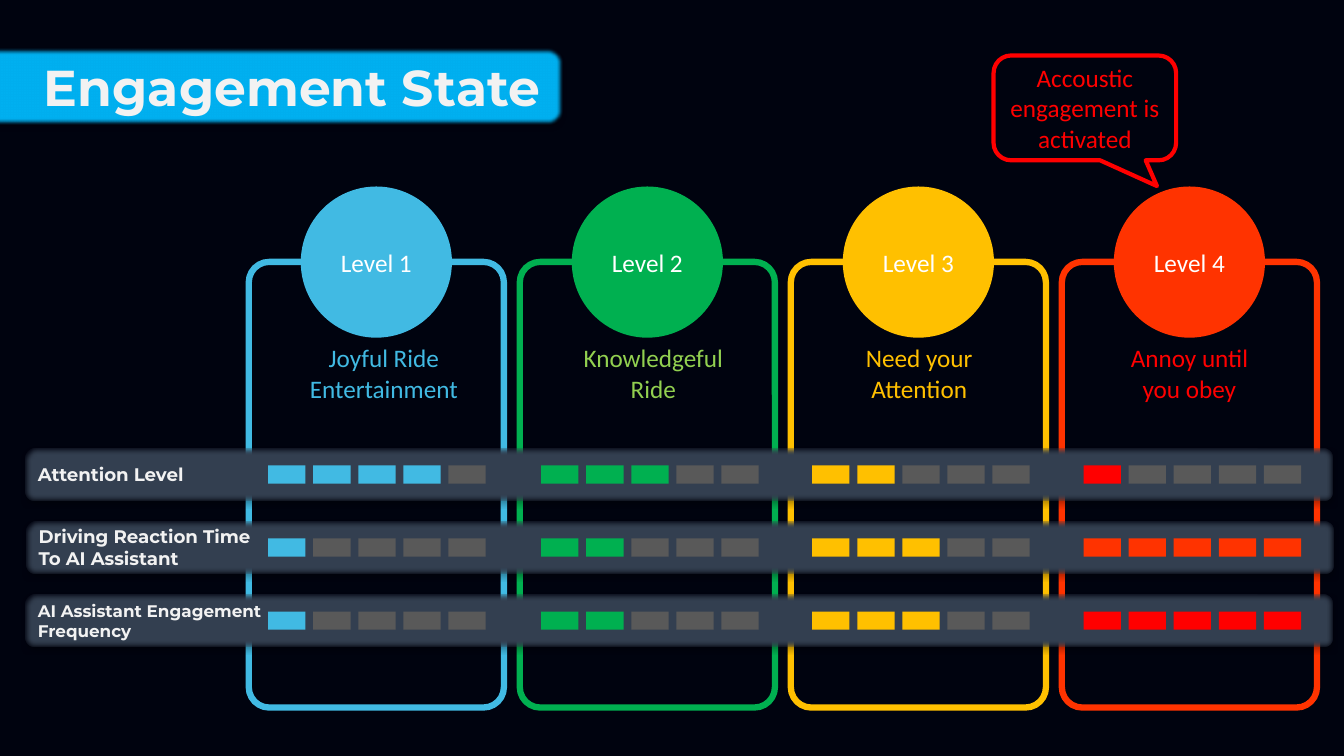
import pptx
import pptx.util
import pptx.dml.color
import pptx.enum.shapes
import pptx.enum.text
import pptx.oxml
import pptx.oxml.ns

Cm = pptx.util.Cm
Pt = pptx.util.Pt
SHAPE = pptx.enum.shapes.MSO_SHAPE
ALIGN = pptx.enum.text.PP_ALIGN
ANCHOR = pptx.enum.text.MSO_ANCHOR

NIGHT, SLATE, GREY, PALE, RED = "00030F", "333F50", "595959", "F2F2F2", "FF0000"

# name, colour, caption, caption colour, caption left, gauge left
LEVELS = [
    ("Level 1", "41BAE3", "Joyful Ride\nEntertainment", "41BAE3", 7.54, 6.76),
    ("Level 2", "00B050", "Knowledgeful Ride", "92D050", 14.33, 13.64),
    ("Level 3", "FFC000", "Need your Attention", "FFC000", 21.03, 20.47),
    ("Level 4", "FF3300", "Annoy until you obey", RED, 27.84, 27.31),
]
# label, text size, bar left, lit cells per level, colour of level 4 cells
MEASURES = [
    ("Attention Level", 13, 0.64, (4, 3, 2, 1), RED),
    ("Driving Reaction Time\nTo AI Assistant", 13, 0.66, (1, 2, 3, 5), "FF3300"),
    ("AI Assistant Engagement\nFrequency", 12, 0.64, (1, 2, 3, 5), RED),
]
CELLS = 5


def rgb(value):
    return pptx.dml.color.RGBColor.from_string(value)


def write(frame, text, size=18, color="FFFFFF", font="Calibri", bold=False,
          align=ALIGN.CENTER, anchor=ANCHOR.MIDDLE):
    frame.word_wrap = True
    frame.vertical_anchor = anchor
    frame.text = text
    for paragraph in frame.paragraphs:
        paragraph.alignment = align
        for run in paragraph.runs:
            run.font.name = font
            run.font.size = Pt(size)
            run.font.bold = bold
            run.font.color.rgb = rgb(color)


def add_form(shapes, kind, left, top, width, height, fill=None, line=None,
             weight=1, adjust=()):
    form = shapes.add_shape(kind, Cm(left), Cm(top), Cm(width), Cm(height))
    form.shadow.inherit = False
    if fill:
        form.fill.solid()
        form.fill.fore_color.rgb = rgb(fill)
    else:
        form.fill.background()
    if line:
        form.line.color.rgb = rgb(line)
        form.line.width = Pt(weight)
    else:
        form.line.fill.background()
    for index, value in enumerate(adjust):
        form.adjustments[index] = value
    return form


def add_soft_bar(shapes, left, top, width, height, fill, text, size):
    bar = add_form(shapes, SHAPE.ROUNDED_RECTANGLE, left, top, width, height,
                   fill, adjust=[0.167])
    write(bar.text_frame, text, size, PALE, "Montserrat", True, ALIGN.LEFT)
    # Drop shadow and soft edge
    effects = bar._element.spPr.find(pptx.oxml.ns.qn("a:effectLst"))
    namespace = pptx.oxml.ns.nsdecls("a")
    effects.append(pptx.oxml.parse_xml(
        f'<a:outerShdw {namespace} blurRad="{Pt(3.5)}" dist="{Pt(2.2)}" '
        'dir="5400000" rotWithShape="0"><a:srgbClr val="000000">'
        '<a:alpha val="32000"/></a:srgbClr></a:outerShdw>'))
    effects.append(pptx.oxml.parse_xml(
        f'<a:softEdge {namespace} rad="{Pt(2.5)}"/>'))
    return bar


def add_card(slide, left, name, color):
    card = slide.shapes.add_group_shape().shapes
    add_form(card, SHAPE.ROUNDED_RECTANGLE, left, 6.6, 6.43, 11.23,
             line=color, weight=4.5, adjust=[0.08])
    badge = add_form(card, SHAPE.OVAL, left + 1.31, 4.7, 3.81, 3.81, color)
    write(badge.text_frame, name)


def add_caption(slide, left, text, color):
    caption = slide.shapes.add_textbox(Cm(left), Cm(8.51), Cm(4.27), Cm(1.8))
    write(caption.text_frame, text, color=color, anchor=ANCHOR.TOP)
    caption.text_frame.auto_size = pptx.enum.text.MSO_AUTO_SIZE.SHAPE_TO_FIT_TEXT


def add_gauge(slide, left, top, lit, color):
    gauge = slide.shapes.add_group_shape().shapes
    for cell in range(CELLS):
        add_form(gauge, SHAPE.RECTANGLE, left + 1.135 * cell, top, 0.94, 0.46,
                 color if cell < lit else GREY)


def main():
    deck = pptx.Presentation()
    deck.slide_width, deck.slide_height = Cm(33.87), Cm(19.05)
    slide = deck.slides.add_slide(deck.slide_layouts[6])
    slide.background.fill.solid()
    slide.background.fill.fore_color.rgb = rgb(NIGHT)

    # Title
    title = add_soft_bar(slide.shapes, -0.51, 1.22, 14.68, 1.93, "00B0F0",
                         "Engagement State", 36)
    heading = title.text_frame.paragraphs[0]
    heading.level = 1
    heading._p.get_or_add_pPr().set("marL", str(Cm(1.27)))
    heading._p.get_or_add_pPr().set("indent", "0")

    # Level cards
    for column, (name, color, caption, caption_color, caption_left, _) in enumerate(LEVELS):
        add_card(slide, 6.27 + 6.83 * column, name, color)
        add_caption(slide, caption_left, caption, caption_color)

    # Measure bars with a gauge for each level
    for row, (label, size, left, scores, last_color) in enumerate(MEASURES):
        top = 11.3 + 1.84 * row
        add_soft_bar(slide.shapes, left, top, 32.94, 1.32, SLATE, label, size)
        colors = [level[1] for level in LEVELS[:-1]] + [last_color]
        for level, lit, color in zip(LEVELS, scores, colors):
            add_gauge(slide, level[-1], top + 0.43, lit, color)

    # Callout for level 4
    callout = add_form(slide.shapes, SHAPE.ROUNDED_RECTANGULAR_CALLOUT,
                       25.04, 1.4, 4.6, 2.64, line=RED, weight=3,
                       adjust=[0.395, 0.746, 0.167])
    write(callout.text_frame, "Accoustic engagement is activated", color=RED)

    deck.save("out.pptx")


if __name__ == "__main__":
    main()
